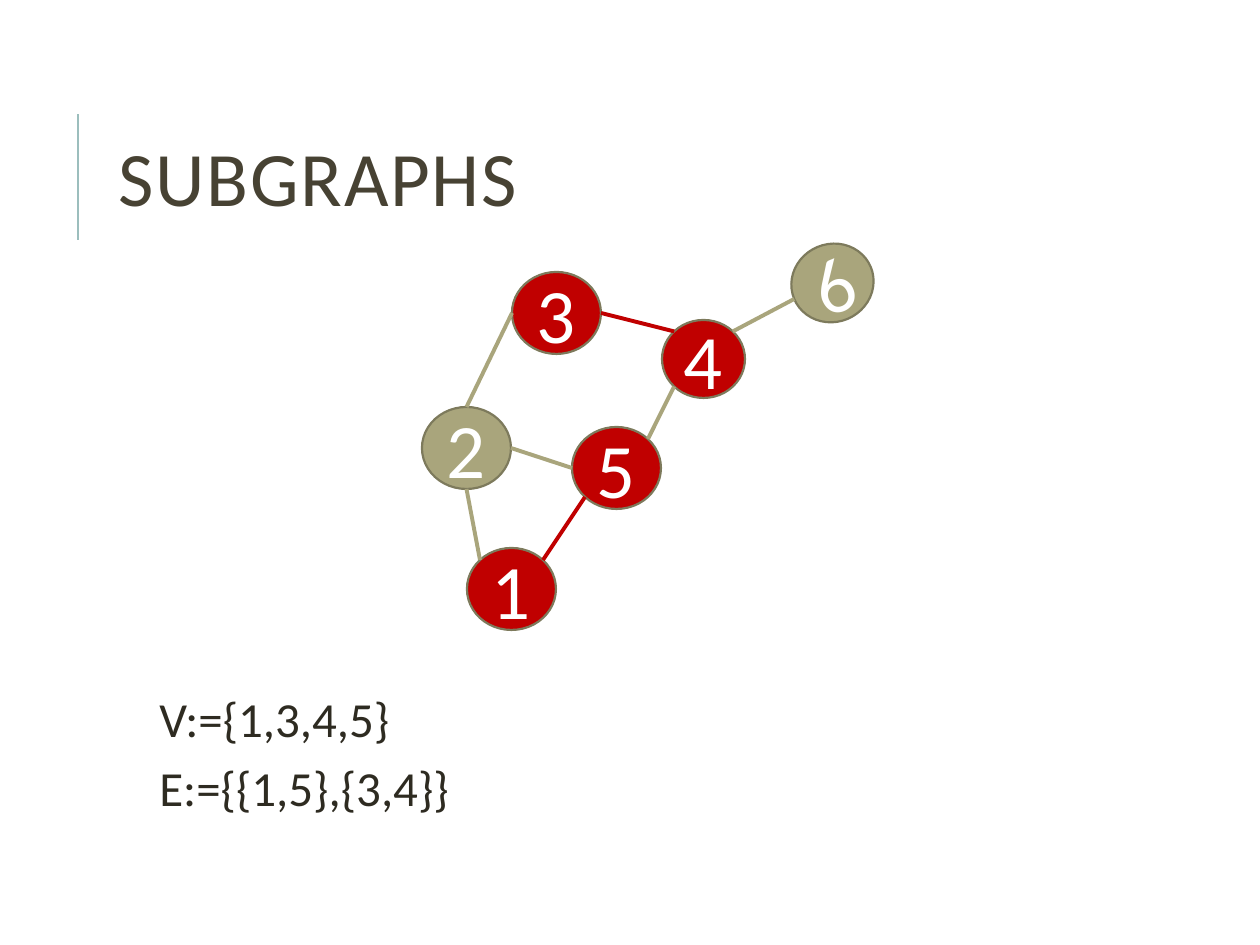
from math import cos, pi, radians, sin

from pptx import Presentation
from pptx.dml.color import RGBColor
from pptx.enum.shapes import MSO_CONNECTOR, MSO_SHAPE
from pptx.enum.text import MSO_ANCHOR, PP_ALIGN
from pptx.oxml.ns import qn
from pptx.util import Emu, Pt
from lxml.etree import SubElement

EMU_PER_PX = 914400 / 126
RED, OLIVE = "C00000", "A9A57C"


def px(length):
    return Emu(round(length * EMU_PER_PX))


def color(hex_string):
    return RGBColor.from_string(hex_string)


class SlideBuilder:
    font_name = "Calibri"
    outline = "7D7A5C"

    def __init__(self, page):
        self.page = page

    def fill_text(self, frame, lines, size, hex_color, **paragraph_format):
        for index, line in enumerate(lines):
            para = frame.paragraphs[0] if index == 0 else frame.add_paragraph()
            for name, value in paragraph_format.items():
                setattr(para, name, value)
            span = para.add_run()
            span.text = line
            for name, value in {"name": self.font_name, "size": Pt(size), "bold": False}.items():
                setattr(span.font, name, value)
            span.font.color.rgb = color(hex_color)

    def title(self, text, left, top, width, height):
        box = self.page.shapes.title
        for name, value in {"left": left, "top": top, "width": width, "height": height}.items():
            setattr(box, name, px(value))
        frame = box.text_frame
        frame.vertical_anchor = MSO_ANCHOR.MIDDLE
        self.fill_text(frame, [text], 44, "474233", alignment=PP_ALIGN.LEFT, line_spacing=0.8)
        frame.paragraphs[0].runs[0].font._element.set("spc", "100")

    def text(self, lines, left, top, width, height):
        box = self.page.shapes.add_textbox(px(left), px(top), px(width), px(height))
        box.text_frame.word_wrap = True
        self.fill_text(box.text_frame, lines, 28, "2E2B21", space_before=Pt(6))

    def node(self, label, left, top, width, height, fill, rotation=0):
        ellipse = self.page.shapes.add_shape(
            MSO_SHAPE.OVAL, px(left), px(top), px(width), px(height))
        ellipse.rotation = rotation
        ellipse.shadow.inherit = False
        ellipse.fill.solid()
        ellipse.fill.fore_color.rgb = color(fill)
        ellipse.line.color.rgb = color(self.outline)
        ellipse.line.width = Pt(1.25)
        frame = ellipse.text_frame
        frame.word_wrap = False
        frame.vertical_anchor = MSO_ANCHOR.MIDDLE
        self.fill_text(frame, [label], 44, "FFFFFF", alignment=PP_ALIGN.CENTER)

    def line(self, start, end, hex_color, width):
        connector = self.page.shapes.add_connector(
            MSO_CONNECTOR.STRAIGHT, *(px(value) for value in (*start, *end)))
        connector.line.color.rgb = color(hex_color)
        connector.line.width = Pt(width)
        SubElement(connector._element.spPr, qn("a:effectLst"))


# Each node: left, top, width, height, fill, rotation
NODES = {
    "6": (791, 244, 83, 78, OLIVE, 337.3),
    "4": (662, 320, 83, 78, RED, 0),
    "3": (512, 272, 89, 82, RED, 0),
    "5": (572, 427, 89, 82, RED, 0),
    "1": (467, 548, 89, 82, RED, 0),
    "2": (422, 407, 89, 82, OLIVE, 0),
}

# Compass points on a node, in eighths of a turn clockwise from the right
COMPASS = {"E": 0, "SE": 1, "S": 2, "SW": 3, "W": 4, "NW": 5, "N": 6, "NE": 7}

EDGES = [
    ("3", "E", "4", "NW", RED),
    ("4", "NE", "6", "W", OLIVE),
    ("5", "NE", "4", "SW", OLIVE),
    ("2", "E", "5", "W", OLIVE),
    ("3", "W", "2", "N", OLIVE),
    ("5", "SW", "1", "NE", RED),
    ("2", "S", "1", "NW", OLIVE),
]


def rim_point(label, direction):
    left, top, width, height, _, rotation = NODES[label]
    angle, turn = COMPASS[direction] * pi / 4, radians(rotation)
    across, down = width / 2 * cos(angle), height / 2 * sin(angle)
    return (left + width / 2 + across * cos(turn) - down * sin(turn),
            top + height / 2 + across * sin(turn) + down * cos(turn))


def main():
    deck = Presentation()
    deck.slide_width, deck.slide_height = px(1260), px(945)
    builder = SlideBuilder(deck.slides.add_slide(deck.slide_layouts[5]))

    # Heading with its accent rule
    builder.line((78, 240), (78, 114), "9CBEBD", 1.5)
    builder.title("SUBGRAPHS", 106, 81, 1004, 207)

    # Graph
    for label, node in NODES.items():
        builder.node(label, *node)
    for first, first_side, second, second_side, hex_color in EDGES:
        builder.line(rim_point(first, first_side), rim_point(second, second_side), hex_color, 2.25)

    # Vertex and edge sets of the subgraph
    builder.text(["V:={1,3,4,5}", "E:={{1,5},{3,4}}"], 147, 682, 980, 151)

    deck.save("out.pptx")


if __name__ == "__main__":
    main()
